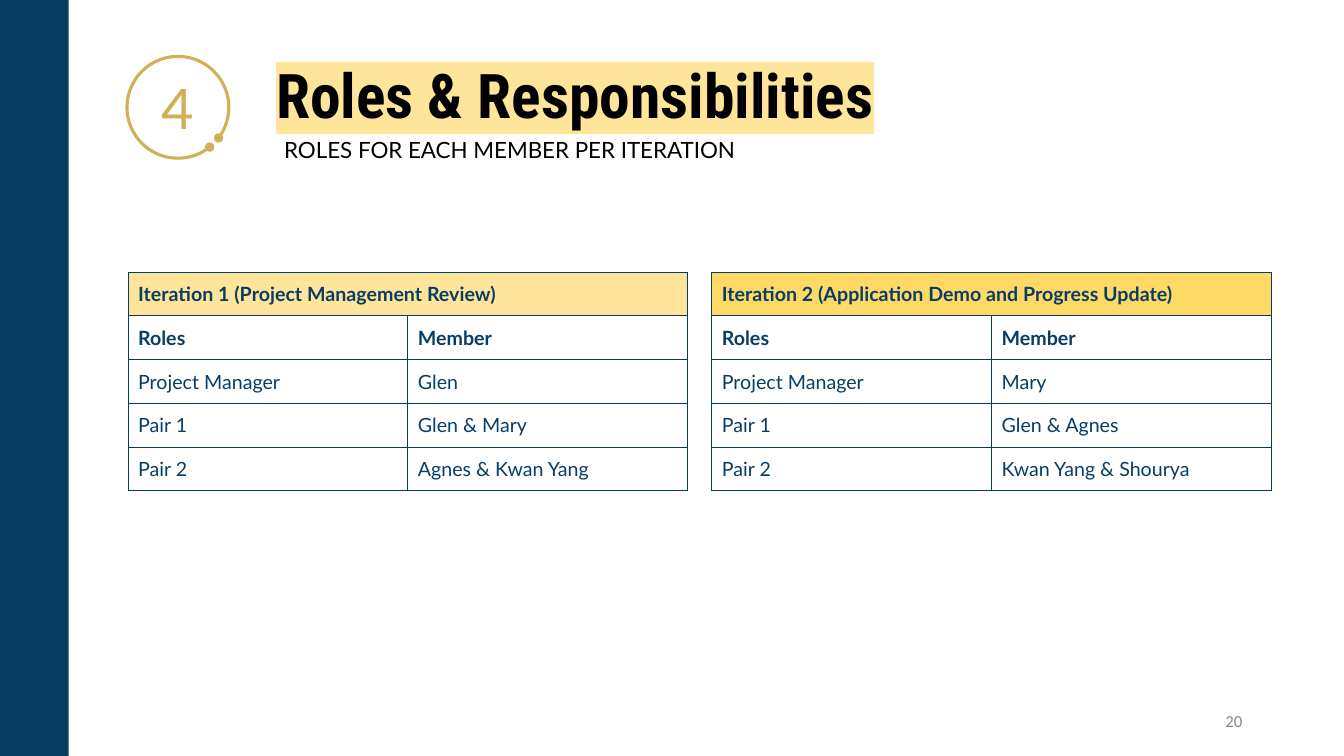
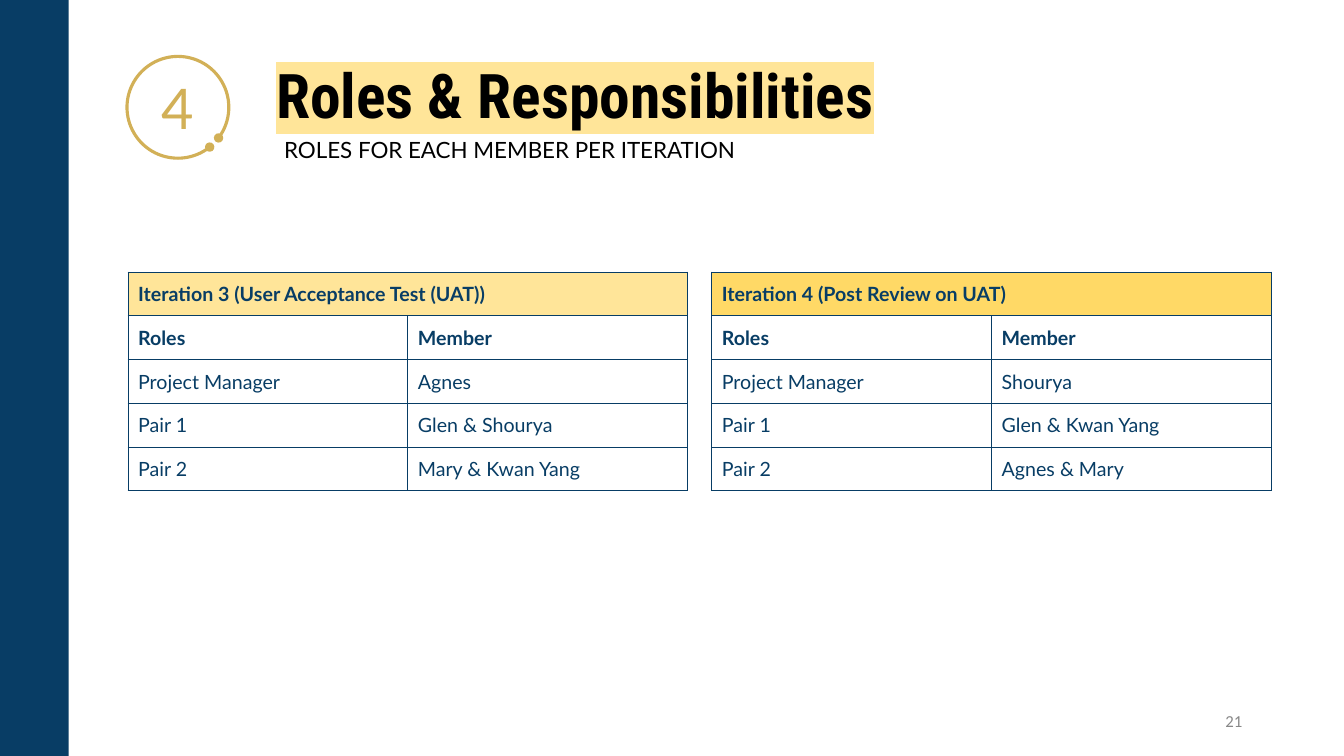
import lxml.etree
import pptx
import pptx.dml.color
import pptx.enum.shapes
import pptx.enum.text
import pptx.oxml.ns
import pptx.util

Inches, Pt = pptx.util.Inches, pptx.util.Pt
SHAPE = pptx.enum.shapes.MSO_SHAPE
ALIGN = pptx.enum.text.PP_ALIGN
ANCHOR = pptx.enum.text.MSO_ANCHOR
qn = pptx.oxml.ns.qn

NAVY, GOLD, BLACK, GREY = "083D65", "D2B057", "000000", "888888"
PALE_YELLOW, YELLOW = "FFE599", "FFD966"

WIDTH, HEIGHT = 13.33, 7.5
TABLE_LEFT, TABLE_TOP, TABLE_WIDTH, TABLE_HEIGHT = 1.27, 2.7, 5.55, 2.17
TABLE_GAP = 0.24
FIRST_PAGE = 20
ROLES = ["Project Manager", "Pair 1", "Pair 2"]

# One list per slide; each entry is an iteration and the members for ROLES
SLIDES = [
    [("Iteration 1 (Project Management Review)",
      ["Glen", "Glen & Mary", "Agnes & Kwan Yang"]),
     ("Iteration 2 (Application Demo and Progress Update)",
      ["Mary", "Glen & Agnes", "Kwan Yang & Shourya"])],
    [("Iteration 3 (User Acceptance Test (UAT))",
      ["Agnes", "Glen & Shourya", "Mary & Kwan Yang"]),
     ("Iteration 4 (Post Review on UAT)",
      ["Shourya", "Glen & Kwan Yang", "Agnes & Mary"])],
]


def colour(value):
    return pptx.dml.color.RGBColor.from_string(value)


def write(frame, text, size, ink, font="Lato", bold=False, align=ALIGN.LEFT,
          anchor=ANCHOR.TOP, inset=0.1):
    """Put one styled paragraph in a frame and return its run."""
    frame.word_wrap = True
    frame.vertical_anchor = anchor
    frame.margin_left = frame.margin_right = Inches(0.1)
    frame.margin_top = frame.margin_bottom = Inches(inset)
    para = frame.paragraphs[0]
    para.alignment = align
    para.font.name, para.font.size, para.font.bold = font, Pt(size), bold
    para.font.color.rgb = colour(ink)
    span = para.add_run()
    span.text = text
    return span


deck = pptx.Presentation()
deck.slide_width, deck.slide_height = Inches(WIDTH), Inches(HEIGHT)

for number, iterations in enumerate(SLIDES, FIRST_PAGE):
    page = deck.slides.add_slide(deck.slide_layouts[6])
    shapes = page.shapes

    # Section number in an open ring with a dot at each end
    ring = shapes.add_shape(SHAPE.ARC, Inches(1.26), Inches(0.56),
                            Inches(1.01), Inches(1.01))
    ring.adjustments[0], ring.adjustments[1] = 30.83, 22.19
    ring.shadow.inherit = False
    ring.fill.background()
    ring.line.color.rgb = colour(GOLD)
    ring.line.width = Pt(2.25)
    outline = ring.line._get_or_add_ln()
    for end in ("a:headEnd", "a:tailEnd"):
        lxml.etree.SubElement(outline, qn(end), type="oval")
    write(ring.text_frame, "4", 40, GOLD, align=ALIGN.CENTER,
          anchor=ANCHOR.MIDDLE, inset=0.05)

    band = shapes.add_shape(SHAPE.RECTANGLE, 0, 0, Inches(0.68), deck.slide_height)
    band.shadow.inherit = False
    band.fill.solid()
    band.fill.fore_color.rgb = colour(NAVY)
    band.line.fill.background()

    title = shapes.add_textbox(Inches(2.64), Inches(0.26), Inches(9.44), Inches(1.09))
    span = write(title.text_frame, "Roles & Responsibilities", 44, BLACK,
                 font="Roboto Condensed", bold=True, anchor=ANCHOR.BOTTOM, inset=0.05)
    highlight = lxml.etree.SubElement(span.font._element, qn("a:highlight"))
    lxml.etree.SubElement(highlight, qn("a:srgbClr"), val=PALE_YELLOW)

    subtitle = shapes.add_textbox(Inches(2.72), Inches(1.25), Inches(5.34), Inches(0.47))
    write(subtitle.text_frame, "ROLES FOR EACH MEMBER PER ITERATION", 16, BLACK)

    for column, (heading, members) in enumerate(iterations):
        rows = [(heading, ""), ("Roles", "Member"), *zip(ROLES, members)]
        left = TABLE_LEFT + column * (TABLE_WIDTH + TABLE_GAP)
        table = shapes.add_table(len(rows), 2, Inches(left), Inches(TABLE_TOP),
                                 Inches(TABLE_WIDTH), Inches(TABLE_HEIGHT)).table
        table.first_row = table.horz_banding = False
        table.cell(0, 0).merge(table.cell(0, 1))
        for row, texts in enumerate(rows):
            for col, text in enumerate(texts):
                cell = table.cell(row, col)
                cell.margin_top = cell.margin_bottom = Inches(0.1)
                if row == 0:
                    cell.fill.solid()
                    cell.fill.fore_color.rgb = colour((PALE_YELLOW, YELLOW)[column])
                else:
                    cell.fill.background()
                properties = cell._tc.get_or_add_tcPr()
                for place, side in enumerate(("a:lnL", "a:lnR", "a:lnT", "a:lnB")):
                    border = lxml.etree.Element(qn(side), w=str(Pt(0.75)))
                    ink = lxml.etree.SubElement(border, qn("a:solidFill"))
                    lxml.etree.SubElement(ink, qn("a:srgbClr"), val=NAVY)
                    properties.insert(place, border)
                if text:
                    para = cell.text_frame.paragraphs[0]
                    para.font.name, para.font.size = "Lato", Pt(14)
                    para.font.bold = row < 2
                    para.font.color.rgb = colour(NAVY)
                    para.add_run().text = text

    footer = shapes.add_textbox(Inches(9.42), Inches(6.95), Inches(3), Inches(0.4))
    write(footer.text_frame, str(number), 12, GREY, font="Calibri",
          align=ALIGN.RIGHT, anchor=ANCHOR.MIDDLE, inset=0.05)

deck.save("out.pptx")
